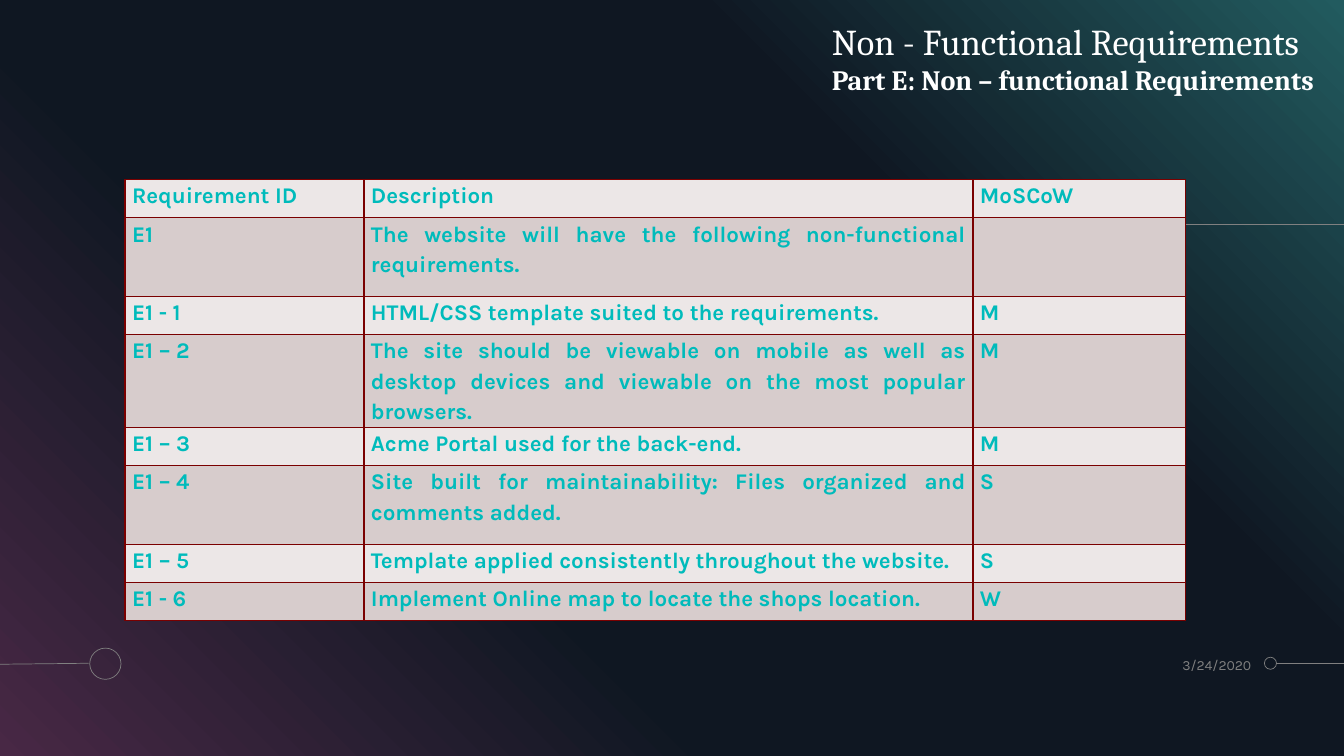
import pptx
import pptx.dml.color
import pptx.enum.shapes
import pptx.enum.text
import pptx.oxml.ns
import pptx.util
from lxml import etree

Inches = pptx.util.Inches
Pt = pptx.util.Pt
qn = pptx.oxml.ns.qn
SHAPE = pptx.enum.shapes.MSO_SHAPE
ALIGN = pptx.enum.text.PP_ALIGN
ANCHOR = pptx.enum.text.MSO_ANCHOR
GREY = "808080"


def color(hex_value):
    return pptx.dml.color.RGBColor.from_string(hex_value)


def write(paragraph, text, hex_value, **font_format):
    run = paragraph.add_run()
    run.text = text
    run.font.color.rgb = color(hex_value)
    for attribute, value in font_format.items():
        setattr(run.font, attribute, value)


presentation = pptx.Presentation()
presentation.slide_width = Inches(13.33)
presentation.slide_height = Inches(7.5)
slide = presentation.slides.add_slide(presentation.slide_layouts[6])
slide.background.fill.solid()
slide.background.fill.fore_color.rgb = color("000000")

# Diagonal gradient backdrop
backdrop = slide.shapes.add_shape(SHAPE.RECTANGLE, 0, 0, Inches(13.33), Inches(7.5))
backdrop.shadow.inherit = False
backdrop.line.fill.background()
backdrop.fill.gradient()
backdrop.fill.gradient_angle = 45
stops = backdrop.element.spPr.find(qn("a:gradFill")).find(qn("a:gsLst"))
for stop in list(stops):
    stops.remove(stop)
for percent, hex_value in [(0, "482845"), (34, "0F1722"), (69, "0F1722"), (100, "225B5F")]:
    stop = etree.SubElement(stops, qn("a:gs"), pos=str(percent * 1000))
    etree.SubElement(stop, qn("a:srgbClr"), val=hex_value)

# Decorative lines
for x1, y1, x2, y2 in [(13.33, 2.23, 7.66, 2.23), (12.66, 6.58, 13.33, 6.58), (0, 6.59, 0.88, 6.58)]:
    rule = slide.shapes.add_connector(
        pptx.enum.shapes.MSO_CONNECTOR.STRAIGHT, Inches(x1), Inches(y1), Inches(x2), Inches(y2))
    rule.line.color.rgb = color(GREY)
    rule.line.width = Pt(0.5)
    etree.SubElement(rule.element.spPr, qn("a:effectLst"))

# Decorative circles, one filled and two outlined
for left, top, diameter, filled in [(7.57, 2.18, 0.11, True), (12.54, 6.52, 0.12, False), (0.89, 6.43, 0.31, False)]:
    circle = slide.shapes.add_shape(
        SHAPE.OVAL, Inches(left), Inches(top), Inches(diameter), Inches(diameter))
    circle.shadow.inherit = False
    if filled:
        circle.fill.solid()
        circle.fill.fore_color.rgb = color(GREY)
        circle.line.fill.background()
    else:
        circle.fill.background()
        circle.line.color.rgb = color(GREY)
        circle.line.width = Pt(0.5)

# Date
date = slide.shapes.add_textbox(Inches(10.95), Inches(6.43), Inches(1.46), Inches(0.33)).text_frame
for attribute, value in {"margin_left": 0, "margin_top": 0, "margin_right": 0, "margin_bottom": 0,
                         "word_wrap": True, "vertical_anchor": ANCHOR.MIDDLE}.items():
    setattr(date, attribute, value)
date.paragraphs[0].alignment = ALIGN.RIGHT
write(date.paragraphs[0], "3/24/2020", GREY, size=Pt(10), name="Karla")

# Requirements table
requirements = [
    ("Requirement ID", "Description", "MoSCoW"),
    ("E1", "The website will have the following non-functional requirements.", ""),
    ("E1 - 1", "HTML/CSS template suited to the requirements.", "M"),
    ("E1 – 2", "The site should be viewable on mobile as well as desktop devices "
               "and viewable on the most popular browsers.", "M"),
    ("E1 – 3", "Acme Portal used for the back-end.", "M"),
    ("E1 – 4", "Site built for maintainability: Files organized and comments added.", "S"),
    ("E1 – 5", "Template applied consistently throughout the website.", "S"),
    ("E1 - 6", "Implement Online map to locate the shops location.", "W"),
]
tall_rows = (1, 3, 5)
table = slide.shapes.add_table(
    len(requirements), 3, Inches(1.24), Inches(1.78), Inches(10.51), Inches(4.22)).table
table.horz_banding = False
for column, width in zip(table.columns, (2.37, 6.04, 2.11)):
    column.width = Inches(width)
for r, requirement in enumerate(requirements):
    table.rows[r].height = Inches(0.78 if r in tall_rows else 0.38)
    for c, text in enumerate(requirement):
        cell = table.cell(r, c)
        for attribute, value in {"margin_left": Inches(0.07), "margin_right": Inches(0.07),
                                 "margin_top": 0, "margin_bottom": 0}.items():
            setattr(cell, attribute, value)
        paragraph = cell.text_frame.paragraphs[0]
        paragraph.line_spacing = 1.15
        paragraph.alignment = ALIGN.JUSTIFY if c == 1 and r > 0 else ALIGN.LEFT
        if text:
            write(paragraph, text, "00BBBB", size=Pt(16), name="Karla", bold=True)
        properties = cell._tc.get_or_add_tcPr()
        for side in ("a:lnL", "a:lnR", "a:lnT", "a:lnB"):
            border = etree.SubElement(properties, qn(side), w=str(Pt(1)))
            border_fill = etree.SubElement(border, qn("a:solidFill"))
            etree.SubElement(border_fill, qn("a:srgbClr"), val="7A0000")
        cell.fill.solid()
        cell.fill.fore_color.rgb = color("D7CCCC" if r % 2 else "ECE7E7")

# Title and subtitle
title = slide.shapes.add_textbox(Inches(8.25), Inches(-0.16), Inches(4.9), Inches(1.41)).text_frame
for attribute, value in {"margin_left": 0, "margin_top": Inches(0.35), "margin_right": 0,
                         "margin_bottom": 0, "word_wrap": False,
                         "vertical_anchor": ANCHOR.TOP}.items():
    setattr(title, attribute, value)
write(title.paragraphs[0], "Non - Functional Requirements", "FFFFFF", size=Pt(26), name="Cambria")
write(title.add_paragraph(), "Part E: Non – functional Requirements", "FFFFFF",
      size=Pt(20), name="Cambria", bold=True)

presentation.save("out.pptx")
